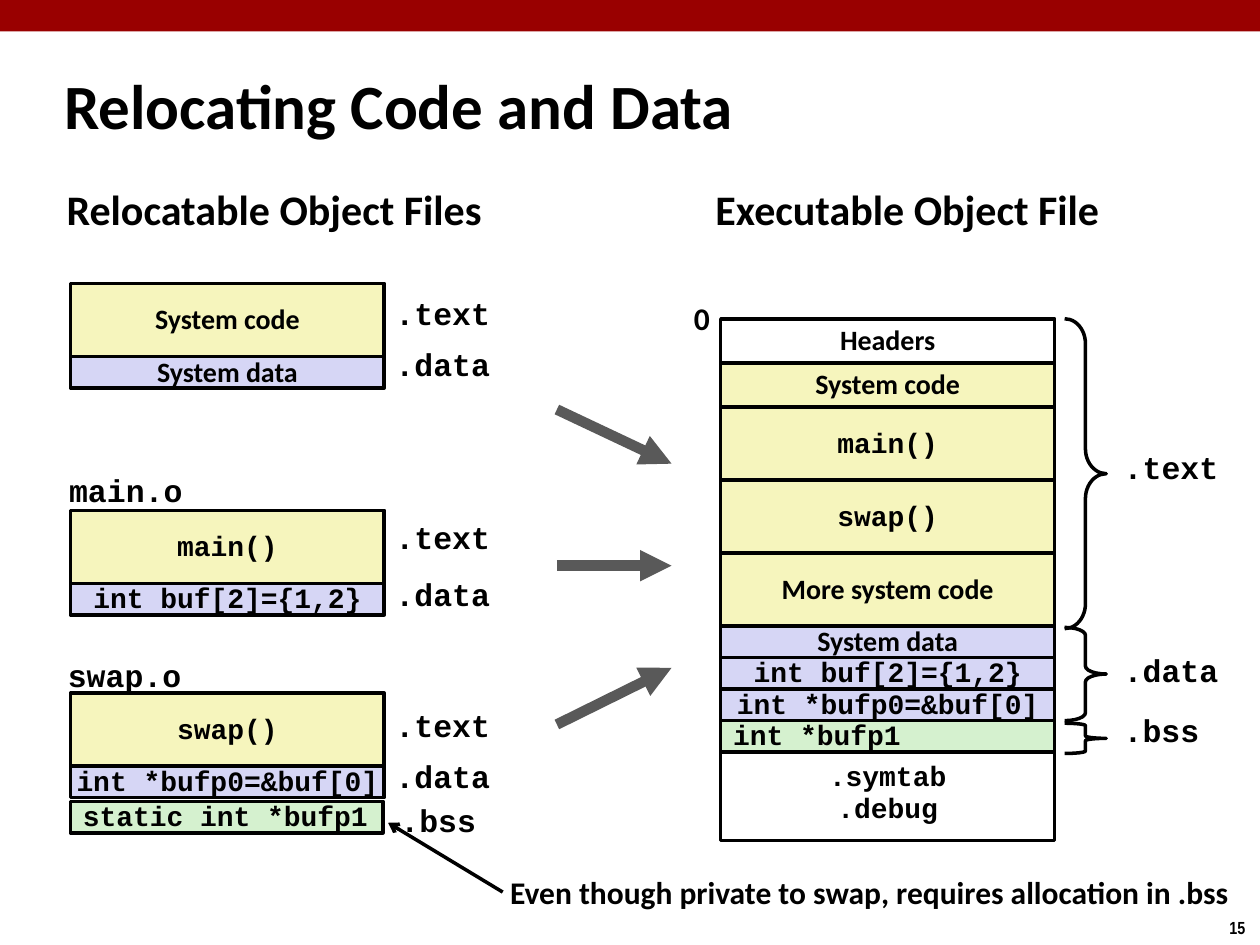
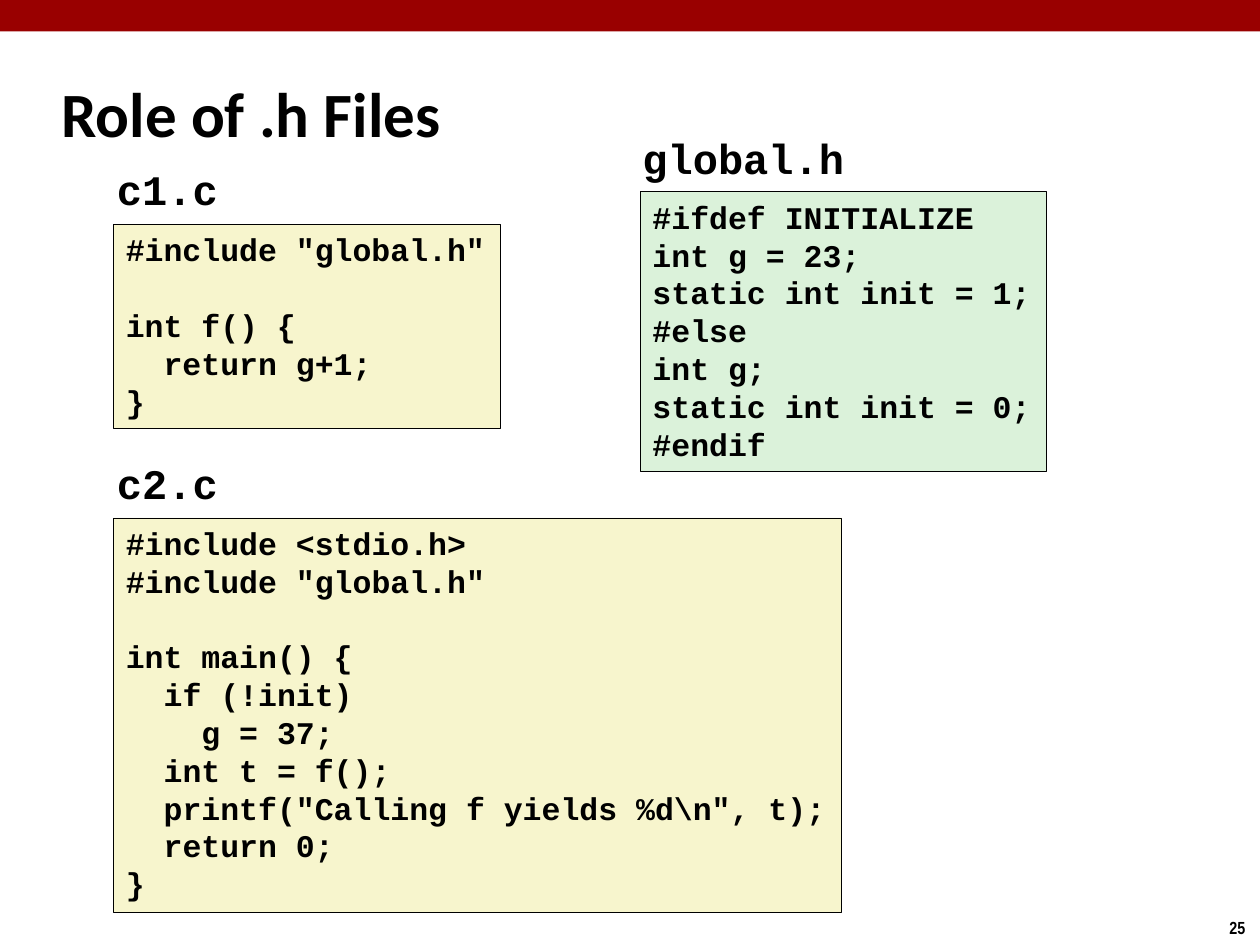
from dataclasses import dataclass

from lxml.etree import SubElement
from pptx import Presentation
from pptx.dml.color import RGBColor
from pptx.enum.shapes import MSO_CONNECTOR, MSO_SHAPE
from pptx.enum.text import MSO_ANCHOR, PP_ALIGN
from pptx.oxml.ns import qn
from pptx.util import Inches, Pt

COLORS = {
    "band": "990000",
    "ink": "000000",
    "white": "FFFFFF",
    "code": "F6F5BD",
    "data": "D6D6F5",
    "bss": "D5F1CF",
    "arrow": "595959",
    "source": "F7F5CD",
    "header": "DBF2DA",
}
SANS, MONO, NARROW = "Calibri", "Courier New", "Arial Narrow"
CODE_LEADING = Pt(21.6)


@dataclass(frozen=True)
class Section:
    text: str
    height: float
    fill: str
    font: str = MONO
    align: PP_ALIGN = PP_ALIGN.CENTER


@dataclass(frozen=True)
class Stack:
    left: float
    top: float
    width: float
    sections: tuple


@dataclass(frozen=True)
class Label:
    text: str
    left: float
    top: float
    width: float
    height: float = 0.39
    size: float = 18
    font: str = MONO
    spacing: float = 0.94


@dataclass(frozen=True)
class Brace:
    top: float
    height: float
    curl: float


@dataclass(frozen=True)
class Arrow:
    start: tuple
    end: tuple
    color: str = "arrow"
    weight: float = 6
    head: str = "triangle"


@dataclass(frozen=True)
class Listing:
    name: Label
    left: float
    top: float
    width: float
    height: float
    fill: str
    code: str


def rgb(name: str) -> RGBColor:
    return RGBColor.from_string(COLORS[name])


def add_line(paragraph, text: str, font: str, size: float) -> None:
    run = paragraph.add_run()
    run.text = text
    run.font.name = font
    run.font.size = Pt(size)
    run.font.bold = True
    run.font.color.rgb = rgb("ink")


def add_rect(slide, left: float, top: float, width: float, height: float, fill: str, line: float = 0):
    rect = slide.shapes.add_shape(
        MSO_SHAPE.RECTANGLE, Inches(left), Inches(top), Inches(width), Inches(height))
    rect.shadow.inherit = False
    rect.fill.solid()
    rect.fill.fore_color.rgb = rgb(fill)
    if line:
        rect.line.color.rgb = rgb("ink")
        rect.line.width = Pt(line)
    else:
        rect.line.fill.background()
    rect.text_frame.word_wrap = False
    return rect


def draw_label(slide, label: Label, anchor: MSO_ANCHOR = MSO_ANCHOR.TOP) -> None:
    frame = slide.shapes.add_textbox(
        Inches(label.left), Inches(label.top), Inches(label.width), Inches(label.height)).text_frame
    frame.word_wrap = anchor == MSO_ANCHOR.MIDDLE
    frame.vertical_anchor = anchor
    paragraph = frame.paragraphs[0]
    paragraph.line_spacing = label.spacing
    add_line(paragraph, label.text, label.font, label.size)


def draw_stack(slide, stack: Stack) -> None:
    top = stack.top
    for section in stack.sections:
        frame = add_rect(
            slide, stack.left, top, stack.width, section.height, section.fill, 2).text_frame
        frame.vertical_anchor = MSO_ANCHOR.MIDDLE
        for i, text in enumerate(section.text.splitlines()):
            paragraph = frame.add_paragraph() if i else frame.paragraphs[0]
            paragraph.alignment = section.align
            paragraph.line_spacing = 0.94 if section.font == MONO else 0.98
            add_line(paragraph, text, section.font, 16)
        top += section.height


def draw_brace(slide, brace: Brace) -> None:
    shape = slide.shapes.add_shape(
        MSO_SHAPE.RIGHT_BRACE, Inches(8.45), Inches(brace.top), Inches(0.33), Inches(brace.height))
    shape.shadow.inherit = False
    shape.adjustments[0] = brace.curl
    shape.fill.background()
    shape.line.color.rgb = rgb("ink")
    shape.line.width = Pt(2)


def draw_arrow(slide, arrow: Arrow) -> None:
    ends = [Inches(value) for value in arrow.start + arrow.end]
    connector = slide.shapes.add_connector(MSO_CONNECTOR.STRAIGHT, *ends)
    connector.line.color.rgb = rgb(arrow.color)
    connector.line.width = Pt(arrow.weight)
    SubElement(connector.line._get_or_add_ln(), qn("a:tailEnd"), type=arrow.head)
    SubElement(connector._element.spPr, qn("a:effectLst"))


def draw_listing(slide, listing: Listing) -> None:
    draw_label(slide, listing.name)
    frame = add_rect(slide, listing.left, listing.top, listing.width, listing.height,
                     listing.fill, 0.25).text_frame
    frame.vertical_anchor = MSO_ANCHOR.TOP
    paragraph = None
    after_gap = False
    for text in listing.code.splitlines():
        if not text:
            after_gap = True
            continue
        paragraph = frame.add_paragraph() if paragraph else frame.paragraphs[0]
        paragraph.alignment = PP_ALIGN.LEFT
        paragraph.line_spacing = CODE_LEADING
        if after_gap:
            paragraph.space_before = CODE_LEADING
            after_gap = False
        add_line(paragraph, text, MONO, 18)


def new_slide(deck, title: Label, number: str):
    slide = deck.slides.add_slide(deck.slide_layouts[6])
    add_rect(slide, 0, 0, 10, 0.25, "band")
    draw_label(slide, Label(number, 9.66, 7.23, 0.34, 0.27, 10, NARROW, 1))
    draw_label(slide, title, MSO_ANCHOR.MIDDLE)
    return slide


def build_relocation(deck) -> None:
    slide = new_slide(
        deck, Label("Relocating Code and Data", 0.41, 0.51, 8.31, 0.63, 36, SANS, 1), "15")
    main = Section("main()", 0.58, "code")
    swap = Section("swap()", 0.58, "code")
    buf = Section("int buf[2]={1,2}", 0.25, "data")
    bufp0 = Section("int *bufp0=&buf[0]", 0.25, "data")
    system_data = Section("System data", 0.25, "data", SANS)
    stacks = (
        Stack(0.56, 2.25, 2.49, (Section("System code", 0.58, "code", SANS), system_data)),
        Stack(0.56, 4.05, 2.49, (main, buf)),
        Stack(0.56, 5.5, 2.49, (swap, bufp0)),
        Stack(0.56, 6.36, 2.48, (
            Section("static int *bufp1", 0.25, "bss", align=PP_ALIGN.LEFT),)),
        Stack(5.72, 5.92, 2.65, (Section(".symtab\n.debug", 0.75, "white"),)),
        Stack(5.72, 2.53, 2.65, (
            Section("Headers", 0.35, "white", SANS),
            Section("System code", 0.35, "code", SANS),
            main,
            swap,
            Section("More system code", 0.58, "code", SANS),
            system_data,
            buf,
            bufp0,
            Section("int *bufp1", 0.25, "bss", align=PP_ALIGN.LEFT),
        )),
    )
    for stack in stacks:
        draw_stack(slide, stack)

    for text_top, data_top in ((2.31, 2.71), (4.09, 4.54), (5.58, 5.98)):
        draw_label(slide, Label(".text", 3.04, text_top, 0.95))
        draw_label(slide, Label(".data", 3.04, data_top, 0.95))
    labels = (
        Label("Relocatable Object Files", 0.43, 1.43, 3.53, 0.5, 24, SANS, 0.98),
        Label("Executable Object File", 5.58, 1.43, 3.28, 0.5, 24, SANS, 0.98),
        Label("main.o", 0.45, 3.71, 1.1),
        Label("swap.o", 0.44, 5.18, 1.1),
        Label("0", 5.41, 2.34, 0.34, 0.4, 18, SANS, 0.98),
        Label(".bss", 3.08, 6.33, 0.8),
        Label(".text", 8.82, 3.53, 0.95),
        Label(".data", 8.82, 5.14, 0.95),
        Label(".bss", 8.82, 5.62, 0.8),
        Label("Even though private to swap, requires allocation in .bss",
              3.95, 6.88, 5.95, 0.4, 18, SANS, 1),
    )
    for label in labels:
        draw_label(slide, label)

    for brace in (Brace(2.53, 2.46, 0.6), Brace(4.98, 0.74, 0.19), Brace(5.74, 0.24, 0.08)):
        draw_brace(slide, brace)

    arrows = (
        Arrow((4.42, 3.25), (5.33, 3.68)),
        Arrow((4.42, 4.49), (5.33, 4.49)),
        Arrow((4.42, 5.75), (5.33, 5.3)),
        Arrow((3.99, 7.08), (3.08, 6.53), "ink", 2, "arrow"),
    )
    for arrow in arrows:
        draw_arrow(slide, arrow)


C1_CODE = """#include "global.h"

int f() {
  return g+1;
}"""

GLOBAL_CODE = """#ifdef INITIALIZE
int g = 23;
static int init = 1;
#else
int g;
static int init = 0;
#endif"""

C2_CODE = r"""#include <stdio.h>
#include "global.h"

int main() {
  if (!init)
    g = 37;
  int t = f();
  printf("Calling f yields %d\n", t);
  return 0;
}"""


def build_headers(deck) -> None:
    slide = new_slide(deck, Label("Role of .h Files", 0.39, 0.48, 8.3, 0.83, 36, SANS, 1), "25")
    listings = (
        Listing(Label("c1.c", 0.83, 1.25, 1.01, 0.5, 24, MONO, 1),
                0.9, 1.78, 3.07, 1.62, "source", C1_CODE),
        Listing(Label("global.h", 5, 1, 1.81, 0.5, 24, MONO, 1),
                5.08, 1.52, 3.22, 2.22, "header", GLOBAL_CODE),
        Listing(Label("c2.c", 0.83, 3.58, 1.01, 0.5, 24, MONO, 1),
                0.9, 4.11, 5.78, 3.13, "source", C2_CODE),
    )
    for listing in listings:
        draw_listing(slide, listing)


def main() -> None:
    deck = Presentation()
    deck.slide_width = Inches(10)
    deck.slide_height = Inches(7.5)
    build_relocation(deck)
    build_headers(deck)
    deck.save("out.pptx")


if __name__ == "__main__":
    main()
